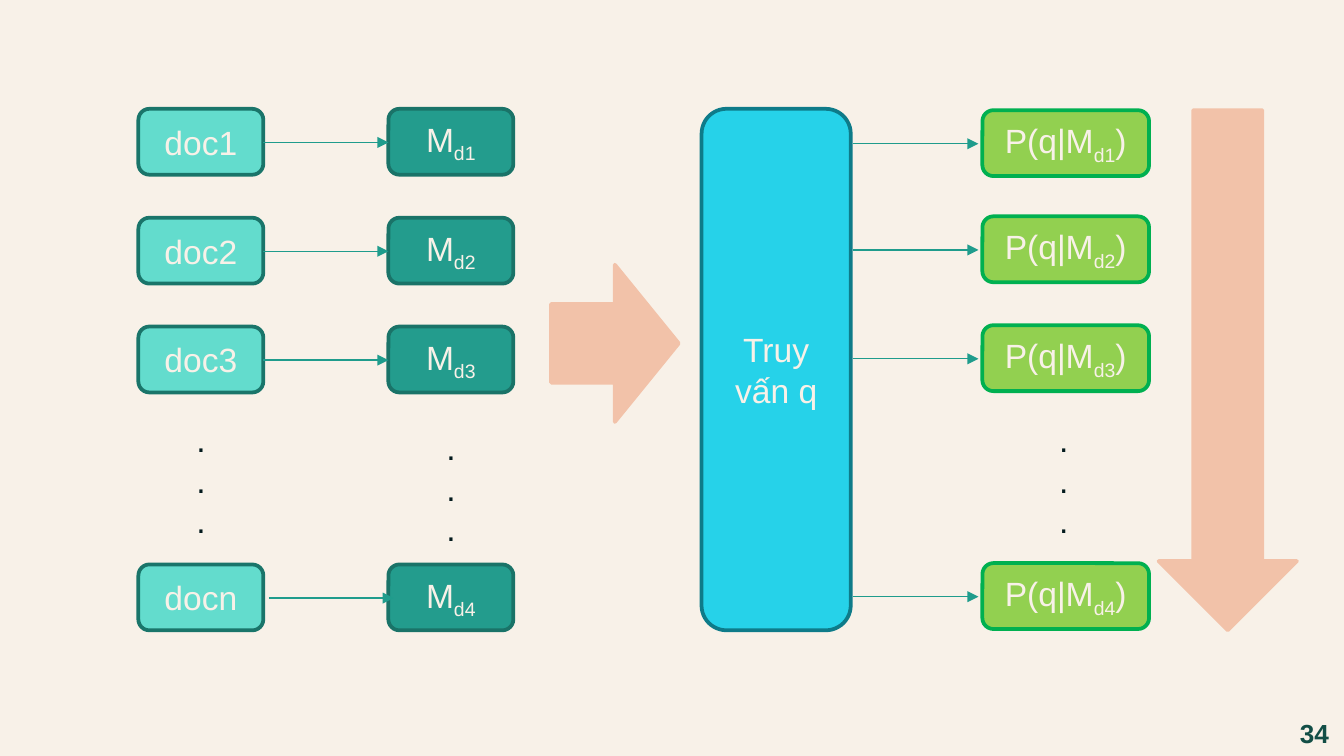
from dataclasses import dataclass

from lxml import etree
from pptx import Presentation
from pptx.dml.color import RGBColor
from pptx.enum.shapes import MSO_CONNECTOR, MSO_SHAPE
from pptx.enum.text import MSO_ANCHOR, PP_ALIGN
from pptx.oxml.ns import qn
from pptx.util import Pt

ROUND, RIGHT, UP = MSO_SHAPE.ROUNDED_RECTANGLE, MSO_SHAPE.RIGHT_ARROW, MSO_SHAPE.UP_ARROW
STRAIGHT = MSO_CONNECTOR.STRAIGHT
MIDDLE, CENTER = MSO_ANCHOR.MIDDLE, PP_ALIGN.CENTER

PX = 9144  # EMU per px, 100 px to the inch

HEX = {
    "paper": "F8F1E8", "ink": "031A1D", "page": "124E46", "link": "1F9C8C",
    "doc": "63DCCD", "doc edge": "1A756A",
    "model": "239C8D", "model edge": "1A7368",
    "query": "26D2E9", "query edge": "0E7B89",
    "score": "92D050", "score edge": "00B050",
    "peach": "F2C2A9", "peach edge": "F2C2A9",
}
BODY = {"name": "Arial", "size": Pt(18), "bold": False}
PAGE = BODY | {"size": Pt(14), "bold": True}


@dataclass
class Column:
    kind: str
    left: int
    width: int
    tops: tuple[int, ...]
    labels: tuple[str, ...]
    dots: tuple[int, int]  # left and top of the dotted gap


def color(name: str) -> RGBColor:
    return RGBColor.from_string(HEX[name])


def write(frame, text: str, tint: str, style: dict) -> None:
    """Fill a frame; parts between underscores become subscripts."""
    frame.word_wrap = True
    for row, line in enumerate(text.split("\n")):
        para = frame.add_paragraph() if row else frame.paragraphs[0]
        para.alignment = CENTER
        for turn, part in enumerate(line.split("_")):
            if not part:
                continue
            run = para.add_run()
            run.text = part
            for key, value in style.items():
                setattr(run.font, key, value)
            run.font.color.rgb = color(tint)
            if turn % 2:
                run._r.get_or_add_rPr().set("baseline", "-25000")


def block(form: int, kind: str, box: tuple[int, ...], text: str = "", turn: int = 0) -> None:
    shape = slide.shapes.add_shape(form, *(n * PX for n in box))
    shape.shadow.inherit = False
    shape.rotation = turn
    shape.fill.solid()
    shape.fill.fore_color.rgb = color(kind)
    shape.line.color.rgb = color(kind + " edge")
    shape.line.width = Pt(2)
    if text:
        shape.text_frame.vertical_anchor = MIDDLE
        write(shape.text_frame, text, "paper", BODY)


def note(box: tuple[int, ...], text: str, tint: str, style: dict) -> None:
    frame = slide.shapes.add_textbox(*(n * PX for n in box)).text_frame
    write(frame, text, tint, style)


def link(left: int, y: int) -> None:
    line = slide.shapes.add_connector(STRAIGHT, left * PX, y * PX, (left + 93) * PX, y * PX)
    line.line.color.rgb = color("link")
    line.line.width = Pt(0.75)
    props = line._element.spPr
    etree.SubElement(props.find(qn("a:ln")), qn("a:tailEnd"), type="triangle")
    etree.SubElement(props, qn("a:effectLst"))


# A 16:9 slide
deck = Presentation()
deck.slide_width = 1000 * PX
deck.slide_height = deck.slide_width * 9 // 16
slide = deck.slides.add_slide(deck.slide_layouts[6])
slide.background.fill.solid()
slide.background.fill.fore_color.rgb = color("paper")

# Columns of documents, models and scores
ROWS, ENDS = (81, 162, 243, 420), (82, 161, 242, 419)
COLUMNS = (
    Column("doc", 103, 93, ROWS, tuple(f"doc{n}" for n in "123n"), (129, 307)),
    Column("model", 289, 93, ROWS, tuple(f"M_d{n}_" for n in "1234"), (315, 313)),
    Column("score", 731, 124, ENDS, tuple(f"P(q|M_d{n}_)" for n in "1234"), (771, 307)),
)
for col in COLUMNS:
    for top, label in zip(col.tops, col.labels):
        block(ROUND, col.kind, (col.left, top, col.width, 49), label)
    note((*col.dots, 41, 101), ".\n.\n.", "ink", BODY)

# Query and the large arrows
block(ROUND, "query", (522, 81, 111, 388), "Truy vấn q")
block(RIGHT, "peach", (410, 197, 95, 117))
block(UP, "peach", (862, 82, 103, 387), turn=180)

# Thin arrows; the last document's one starts a little later
for left, top in zip((196, 196, 196, 200), ROWS):
    link(left, top + 25)
for top in ENDS:
    link(635, top + 25)

# Page number
note((956, 529, 44, 34), "34", "page", PAGE)

deck.save("out.pptx")
